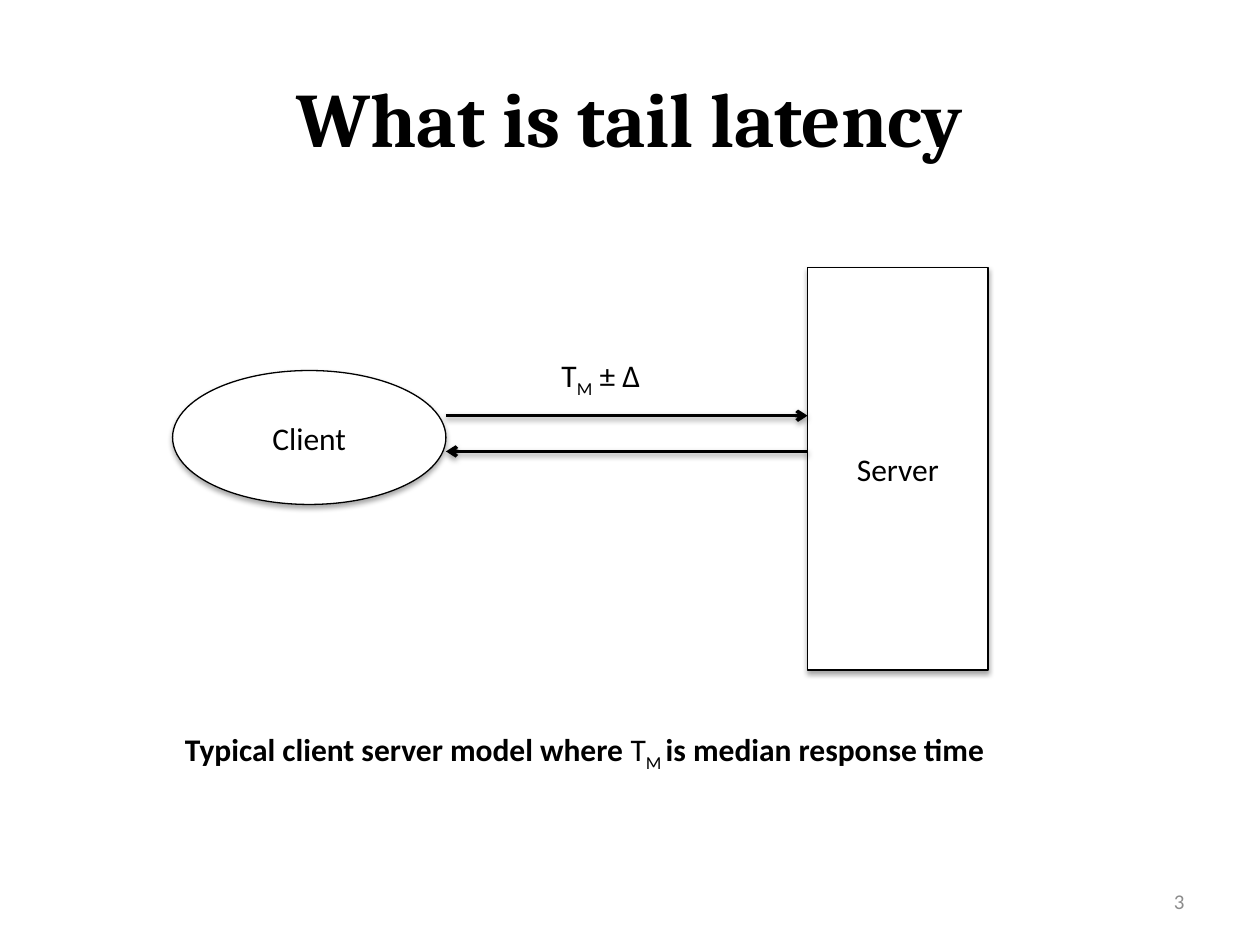
from lxml import etree
from pptx import Presentation
from pptx import util as u
from pptx.dml.color import RGBColor
from pptx.enum import shapes, text
from pptx.oxml.ns import qn

BLACK, WHITE, GREY = "000000", "FFFFFF", "8C8C8C"


def add_run(paragraph, words, size=18, bold=False, subscript=False, color=BLACK, font="Calibri"):
    run = paragraph.add_run()
    run.text = words
    run.font.name = font
    run.font.size = u.Pt(size)
    run.font.bold = bold
    run.font.color.rgb = RGBColor.from_string(color)
    if subscript:
        run._r.get_or_add_rPr().set("baseline", "-25000")


def add_shadow(shape, distance, opacity):
    """Give a shape or connector a soft black shadow straight below it."""
    effects = etree.SubElement(shape._element.spPr, qn("a:effectLst"))
    shadow = etree.SubElement(
        effects, qn("a:outerShdw"), blurRad=str(u.Pt(3.1)), dist=str(u.Pt(distance)),
        dir="5400000", rotWithShape="0")
    color = etree.SubElement(shadow, qn("a:srgbClr"), val=BLACK)
    etree.SubElement(color, qn("a:alpha"), val=str(opacity * 1000))


presentation = Presentation()
presentation.slide_width = u.Cm(25.4)
presentation.slide_height = u.Cm(19.05)
slide = presentation.slides.add_slide(presentation.slide_layouts[5])

# Title
title = slide.shapes.title
title.left, title.top, title.width, title.height = u.Cm(1.27), u.Cm(0.76), u.Cm(22.86), u.Cm(3.18)
title.text_frame.vertical_anchor = text.MSO_ANCHOR.MIDDLE
paragraph = title.text_frame.paragraphs[0]
paragraph.alignment = text.PP_ALIGN.CENTER
add_run(paragraph, "What is tail latency", size=44, bold=True, font="Cambria")

# Server and client
client_right, server_left = 8.99, 16.28
nodes = [
    ("Server", shapes.MSO_SHAPE.RECTANGLE, server_left, 5.4, 3.64, 8.11),
    ("Client", shapes.MSO_SHAPE.OVAL, 3.48, 7.47, client_right - 3.48, 2.7),
]
for name, kind, left, top, width, height in nodes:
    node = slide.shapes.add_shape(kind, u.Cm(left), u.Cm(top), u.Cm(width), u.Cm(height))
    node.fill.solid()
    node.fill.fore_color.rgb = RGBColor.from_string(WHITE)
    node.line.color.rgb = RGBColor.from_string(BLACK)
    node.line.width = u.Pt(0.75)
    add_shadow(node, distance=1.8, opacity=35)
    node.text_frame.vertical_anchor = text.MSO_ANCHOR.MIDDLE
    paragraph = node.text_frame.paragraphs[0]
    paragraph.alignment = text.PP_ALIGN.CENTER
    add_run(paragraph, name)

# Request and response arrows
for start, end, y in [(client_right, server_left, 8.38), (server_left, client_right, 9.1)]:
    arrow = slide.shapes.add_connector(
        shapes.MSO_CONNECTOR.STRAIGHT, u.Cm(start), u.Cm(y), u.Cm(end), u.Cm(y))
    arrow.line.color.rgb = RGBColor.from_string(BLACK)
    arrow.line.width = u.Pt(2)
    etree.SubElement(arrow._element.spPr.find(qn("a:ln")), qn("a:tailEnd"), type="arrow")
    add_shadow(arrow, distance=1.6, opacity=38)

# Caption and latency label: runs are (words, bold, subscript)
labels = [
    (3.48, 14.6, 16.89, [
        ("Typical client server model where ", True, False),
        ("T", False, False),
        ("M ", False, True),
        ("is median response time", True, False),
    ]),
    (11.07, 7.06, 2.18, [("T", False, False), ("M", False, True), (" ± Δ", False, False)]),
]
for left, top, width, runs in labels:
    label = slide.shapes.add_textbox(u.Cm(left), u.Cm(top), u.Cm(width), u.Cm(1.02))
    label.text_frame.word_wrap = False
    label.text_frame.auto_size = text.MSO_AUTO_SIZE.SHAPE_TO_FIT_TEXT
    for words, bold, subscript in runs:
        add_run(label.text_frame.paragraphs[0], words, bold=bold, subscript=subscript)

# Slide number
number = slide.shapes.add_textbox(u.Cm(18.21), u.Cm(17.65), u.Cm(5.92), u.Cm(1.02))
number.text_frame.word_wrap = True
number.text_frame.vertical_anchor = text.MSO_ANCHOR.MIDDLE
paragraph = number.text_frame.paragraphs[0]
paragraph.alignment = text.PP_ALIGN.RIGHT
add_run(paragraph, "3", size=12, color=GREY)

presentation.save("out.pptx")
